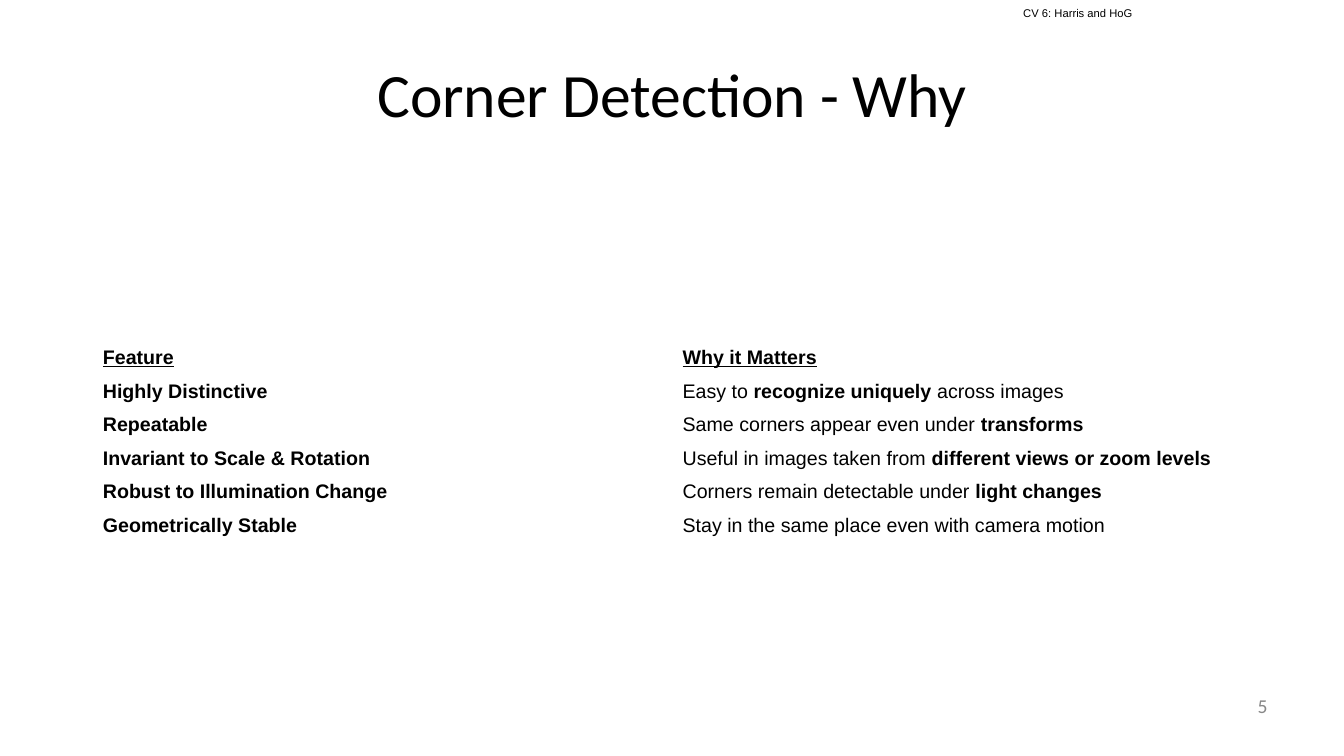
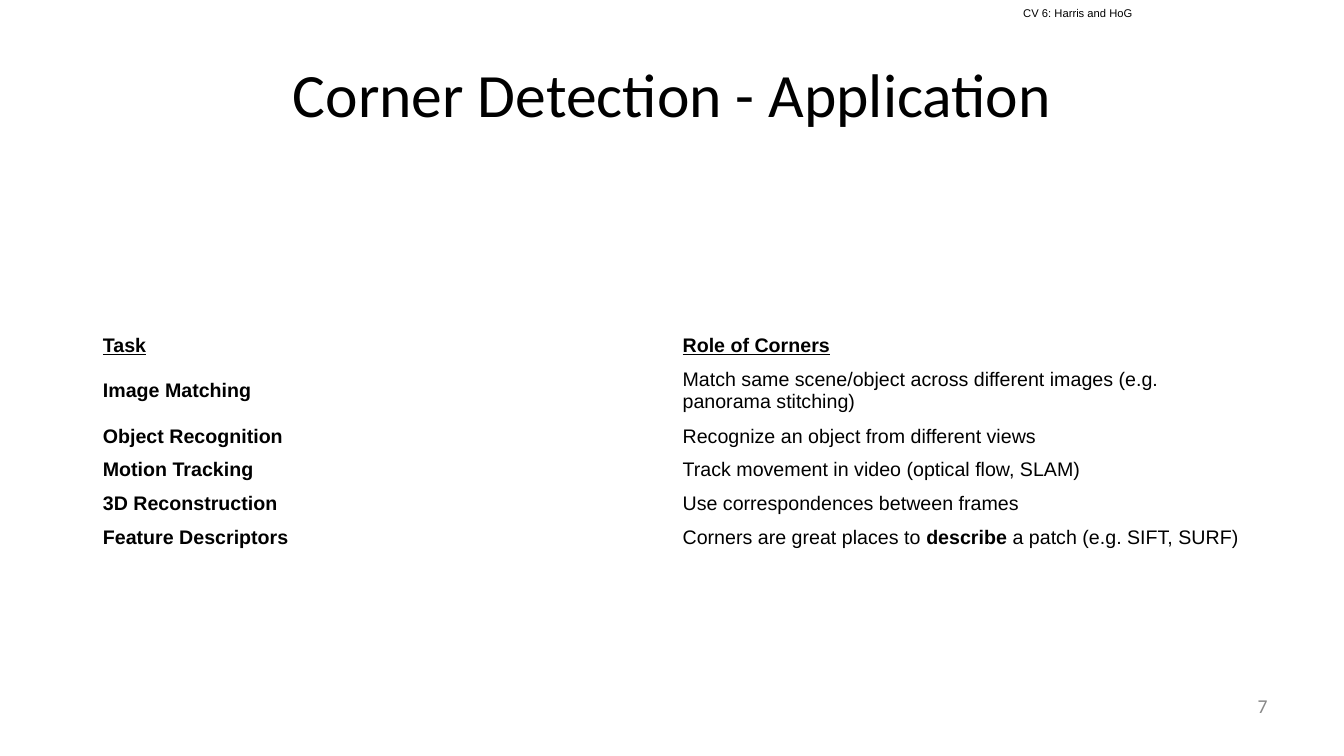
import pptx
import pptx.util
import pptx.dml.color
import pptx.enum.text

Inches = pptx.util.Inches
Anchor = pptx.enum.text.MSO_ANCHOR
Align = pptx.enum.text.PP_ALIGN

COLORS = {"ink": "000000", "muted": "888888"}
HEADER = {"name": "Arial", "size": pptx.util.Pt(8)}
TITLE = {"name": "Calibri", "size": pptx.util.Pt(44)}
NUMBER = {"name": "Calibri", "size": pptx.util.Pt(14)}
CELL = {"name": "Arial", "size": pptx.util.Pt(14)}

# Text between ** marks is bold.
PAGES = [
    {"title": "Corner Detection - Why", "number": "5", "table_top": 3.38,
     "heads": ("Feature", "Why it Matters"),
     "rows": [
         ("Highly Distinctive", "Easy to **recognize uniquely** across images"),
         ("Repeatable", "Same corners appear even under **transforms**"),
         ("Invariant to Scale & Rotation",
          "Useful in images taken from **different views or zoom levels**"),
         ("Robust to Illumination Change",
          "Corners remain detectable under **light changes**"),
         ("Geometrically Stable",
          "Stay in the same place even with camera motion"),
     ]},
    {"title": "Corner Detection - Application", "number": "7", "table_top": 3.26,
     "heads": ("Task", "Role of Corners"),
     "rows": [
         ("Image Matching", "Match same scene/object across different images "
                            "(e.g. panorama stitching)"),
         ("Object Recognition", "Recognize an object from different views"),
         ("Motion Tracking", "Track movement in video (optical flow, SLAM)"),
         ("3D Reconstruction", "Use correspondences between frames"),
         ("Feature Descriptors",
          "Corners are great places to **describe** a patch (e.g. SIFT, SURF)"),
     ]},
]


def set_font(font, style, color="ink", **extra):
    for name, value in {**style, **extra}.items():
        setattr(font, name, value)
    font.color.rgb = pptx.dml.color.RGBColor.from_string(COLORS[color])


def place(shape, left, top, width, height):
    for name, value in zip(("left", "top", "width", "height"),
                           (left, top, width, height)):
        setattr(shape, name, Inches(value))


def add_label(page, box, text, style, color="ink", align=Align.LEFT, inset=0.05):
    label = page.shapes.add_textbox(*map(Inches, box))
    frame = label.text_frame
    frame.word_wrap = True
    frame.margin_top = frame.margin_bottom = Inches(inset)
    para = frame.paragraphs[0]
    para.alignment = align
    span = para.add_run()
    span.text = text
    set_font(span.font, style, color)
    return label


def add_running_header(deck, page):
    """Make the header on a page, then hand it to the master for all pages."""
    header = add_label(page, (10.05, 0, 3.28, 0.34), "CV 6: Harris and HoG",
                       HEADER, inset=0.1)
    header._element.nvSpPr.cNvPr.set("id", "20")
    deck.slide_master.shapes._spTree.append(header._element)


def fill_title(page, box, text):
    title = page.shapes.title
    place(title, *box)
    title.text_frame.vertical_anchor = Anchor.MIDDLE
    para = title.text_frame.paragraphs[0]
    para.alignment = Align.CENTER
    span = para.add_run()
    span.text = text
    set_font(span.font, TITLE)


def fill_cell(cell, text, bold, underline):
    cell.fill.background()
    cell.vertical_anchor = Anchor.MIDDLE
    para = cell.text_frame.paragraphs[0]
    for index, part in enumerate(text.split("**")):
        if part:
            span = para.add_run()
            span.text = part
            set_font(span.font, CELL, bold=bold or index % 2 == 1,
                     underline=underline)


def add_comparison(page, box, heads, rows):
    lines = [heads, *rows]
    table = page.shapes.add_table(len(lines), len(heads),
                                  *map(Inches, box)).table
    table.first_row = table.horz_banding = False
    for row, texts in enumerate(lines):
        for column, text in enumerate(texts):
            fill_cell(table.cell(row, column), text,
                      bold=row == 0 or column == 0, underline=row == 0)


def add_page(deck, content):
    page = deck.slides.add_slide(deck.slide_layouts.get_by_name("Title Only"))
    fill_title(page, (0.67, 0.3, 12, 1.25), content["title"])
    add_label(page, (9.56, 6.83, 3.11, 0.52), content["number"], NUMBER,
              "muted", Align.RIGHT)
    # Rows start low and grow to fit their text.
    add_comparison(page, (0.92, content["table_top"], 11.5, 1.8),
                   content["heads"], content["rows"])
    return page


def main():
    deck = pptx.Presentation()
    deck.slide_width, deck.slide_height = Inches(13.33), Inches(7.5)
    pages = [add_page(deck, content) for content in PAGES]
    add_running_header(deck, pages[0])
    deck.save("out.pptx")


if __name__ == "__main__":
    main()
